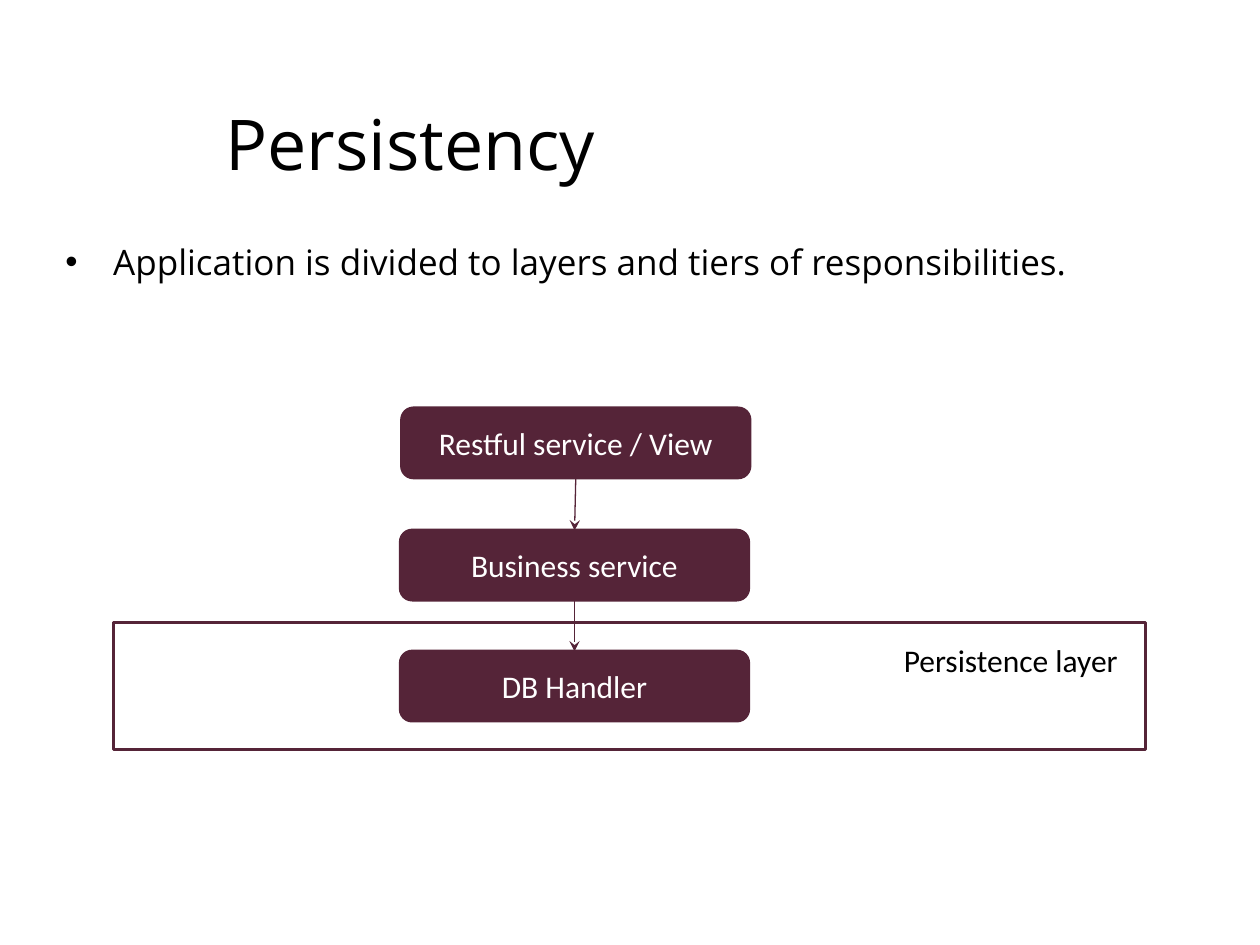
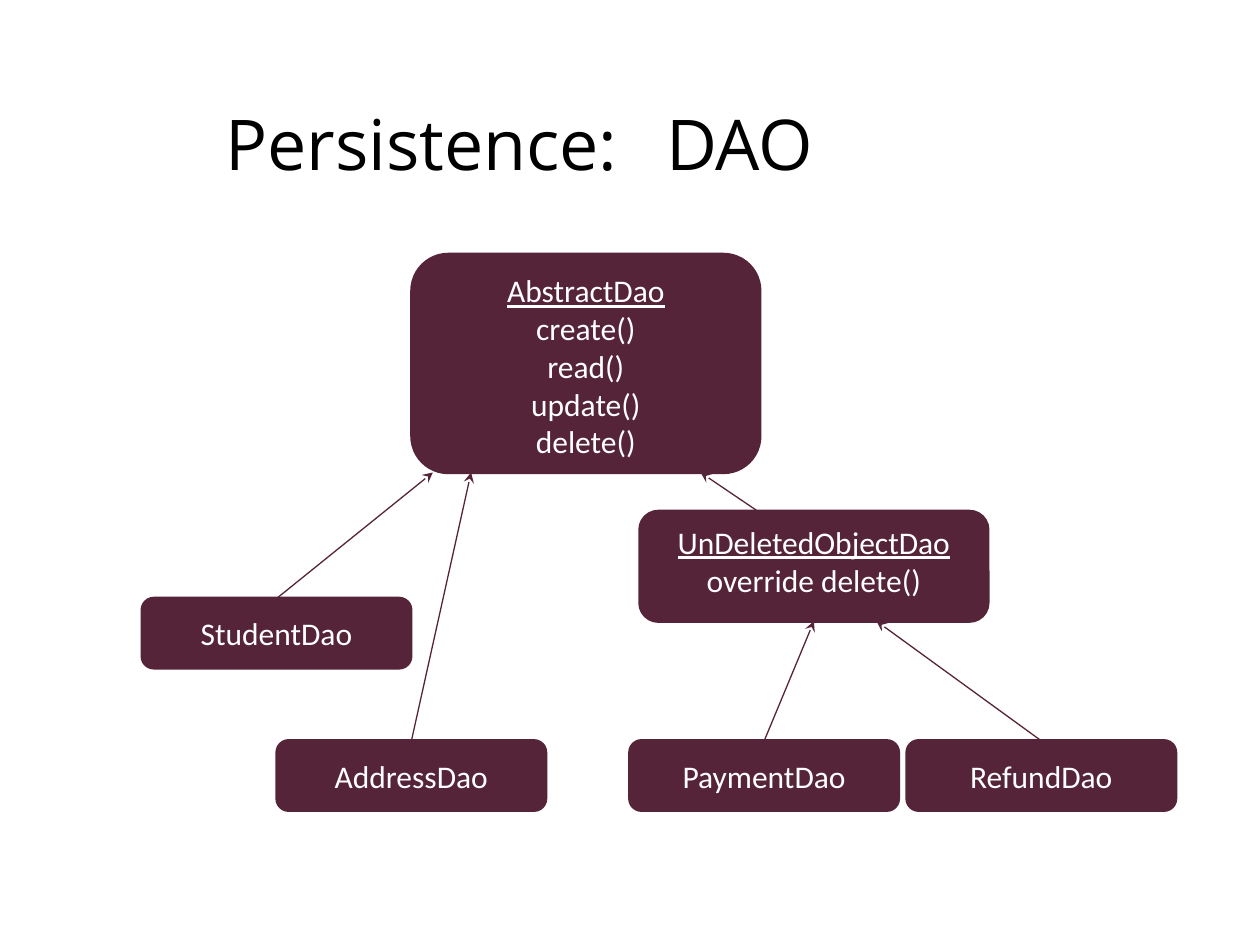
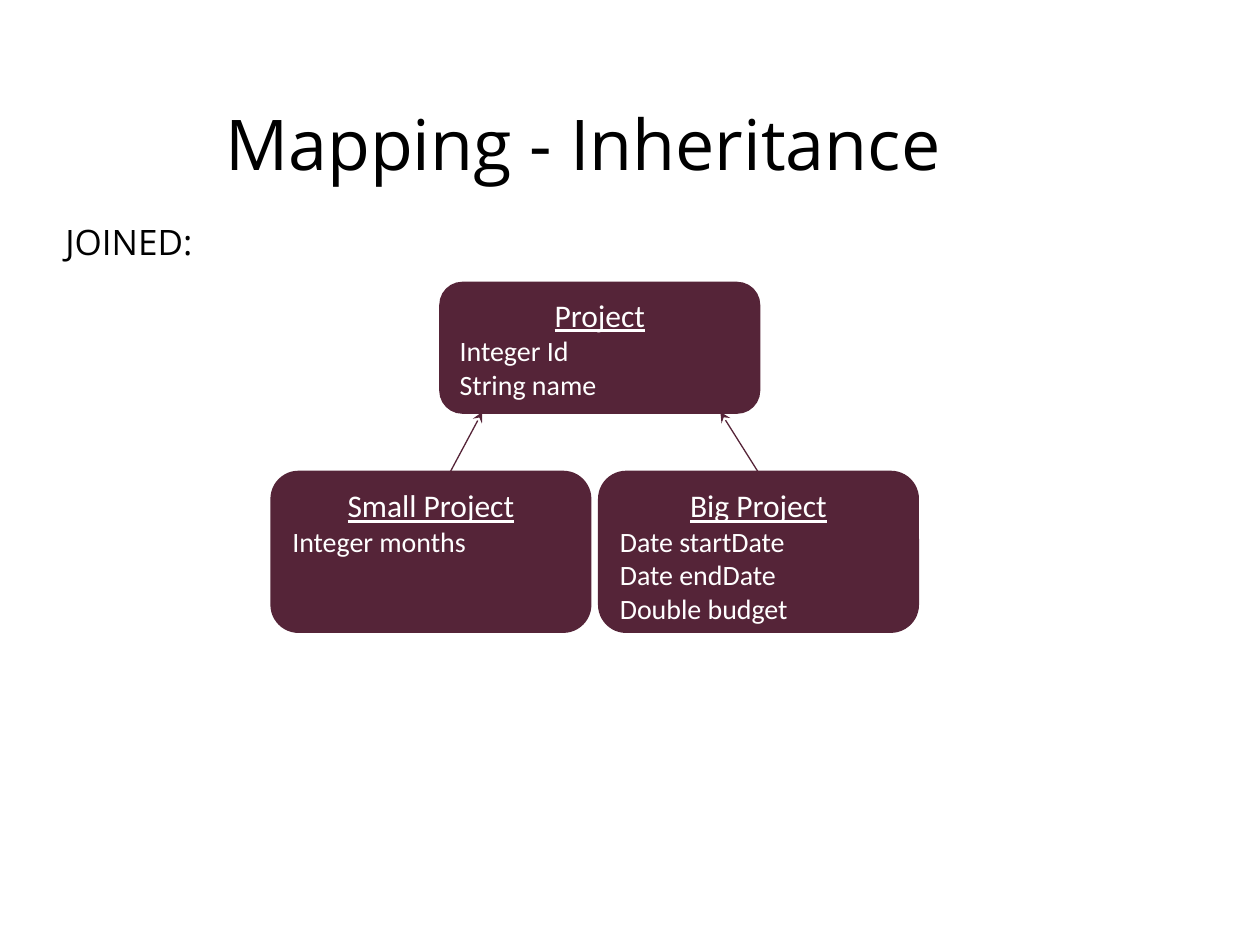
from lxml.etree import SubElement
from pptx import Presentation
from pptx.dml.color import RGBColor
from pptx.enum.shapes import MSO_CONNECTOR as Connector, MSO_SHAPE as Preset
from pptx.enum.text import MSO_ANCHOR as Anchor, PP_ALIGN as Align
from pptx.oxml.ns import qn
from pptx.util import Inches, Pt

COLORS = {"plum": "552438", "white": "FFFFFF", "black": "000000"}
TITLE_FONT, LABEL_FONT = "Open Sans", "Calibri"
TITLE_AREA = (1.69, 0.5, 8.9, 1.26)
BODY_LEFT, BODY_WIDTH, BODY_HEIGHT = 0.42, 8.9, 2.83
BULLET_INDENT = 0.38
LAYER_SIZE, CLASS_SIZE, ENTITY_SIZE = (2.76, 0.55), (2.13, 0.55), (2.52, 1.26)

SLIDES = [
    {
        "title": "Persistency",
        "body": ("Application is divided to layers and tiers of responsibilities.", 1.86, True),
        "boxes": {
            "business": (3.18, 4.21, *LAYER_SIZE, ["Business service"]),
            "handler": (3.18, 5.17, *LAYER_SIZE, ["DB Handler"]),
            "view": (3.19, 3.24, *LAYER_SIZE, ["Restful service / View"]),
        },
        "calls": [("view", "business"), ("business", "handler")],
        "frame": (0.9, 4.94, 8.19, 1.01),
        "frame_label": ("Persistence layer", (7.05, 5.04, 1.92, 0.4)),
    },
    {
        "title": "Persistence:\tDAO",
        "boxes": {
            "abstract": (3.27, 2.02, 2.76, 1.73,
                         ["AbstractDao", "create()", "read()", "update()", "delete()"]),
            "student": (1.13, 4.75, *CLASS_SIZE, ["StudentDao"]),
            "address": (2.2, 5.88, *CLASS_SIZE, ["AddressDao"]),
            "undeleted": (5.08, 4.06, 2.76, 0.87, ["UnDeletedObjectDao", "override delete()"]),
            "payment": (5, 5.88, *CLASS_SIZE, ["PaymentDao"]),
            "refund": (7.2, 5.88, *CLASS_SIZE, ["RefundDao"]),
        },
        "parents": [
            ("student", 0.5, "abstract", 0.06),
            ("address", 0.5, "abstract", 0.17),
            ("undeleted", 0.34, "abstract", 0.83),
            ("payment", 0.5, "undeleted", 0.5),
            ("refund", 0.5, "undeleted", 0.68),
        ],
    },
    {
        "title": "Mapping - Inheritance",
        "body": ("JOINED:", 1.7, False),
        "member_style": (Align.LEFT, 16),
        "boxes": {
            "project": (3.5, 2.25, 2.52, 1.02, ["Project", "Integer Id", "String name"]),
            "small": (2.16, 3.75, *ENTITY_SIZE, ["Small Project", "Integer months"]),
            "big": (4.76, 3.75, *ENTITY_SIZE,
                    ["Big Project", "Date startDate", "Date endDate", "Double budget"]),
        },
        "parents": [("big", 0.5, "project", 0.88), ("small", 0.56, "project", 0.13)],
    },
]


def color(name):
    return RGBColor.from_string(COLORS[name])


def inches(lengths):
    return [Inches(length) for length in lengths]


def style(paragraph, font_name, size, color_name, align=Align.LEFT, underline=False):
    paragraph.alignment = align
    for run in paragraph.runs:
        run.font.name = font_name
        run.font.size = Pt(size)
        run.font.color.rgb = color(color_name)
        run.font.underline = underline


def add_text(slide, text, area, font_name, size, anchor=Anchor.TOP, align=Align.LEFT):
    text_frame = slide.shapes.add_textbox(*inches(area)).text_frame
    text_frame.word_wrap = True
    text_frame.vertical_anchor = anchor
    text_frame.text = text
    paragraph = text_frame.paragraphs[0]
    style(paragraph, font_name, size, "black", align)
    return paragraph


def add_bullet(paragraph):
    properties = paragraph._p.get_or_add_pPr()
    properties.set("marL", str(Inches(BULLET_INDENT)))
    properties.set("indent", str(-Inches(BULLET_INDENT)))
    SubElement(properties, qn("a:buFont"), typeface="Arial")
    SubElement(properties, qn("a:buChar"), char="•")


def add_outlined(slide, preset, area):
    shape = slide.shapes.add_shape(preset, *inches(area))
    shape.shadow.inherit = False
    shape.line.color.rgb = color("plum")
    shape.line.width = Pt(2)
    return shape


def add_box(slide, area, lines, member_align, member_size):
    shape = add_outlined(slide, Preset.ROUNDED_RECTANGLE, area)
    shape.fill.solid()
    shape.fill.fore_color.rgb = color("plum")
    text_frame = shape.text_frame
    text_frame.word_wrap = True
    text_frame.vertical_anchor = Anchor.TOP if len(lines) > 1 else Anchor.MIDDLE
    text_frame.text = "\n".join(lines)
    heading, *members = text_frame.paragraphs
    style(heading, LABEL_FONT, 18, "white", Align.CENTER, len(lines) > 1)
    for member in members:
        style(member, LABEL_FONT, member_size, "white", member_align)


def top_point(box, share=0.5):
    left, top, width = box[:3]
    return left + width * share, top


def bottom_point(box, share=0.5):
    left, top, width, height = box[:4]
    return left + width * share, top + height


def add_arrow(slide, start, end):
    connector = slide.shapes.add_connector(Connector.STRAIGHT, *inches(start + end))
    connector.line.color.rgb = color("plum")
    connector.line.width = Pt(0.75)
    SubElement(connector.line._get_or_add_ln(), qn("a:tailEnd"), type="stealth")
    SubElement(connector._element.spPr, qn("a:effectLst"))


def build_slide(presentation, content):
    slide = presentation.slides.add_slide(presentation.slide_layouts[6])
    add_text(slide, content["title"], TITLE_AREA, TITLE_FONT, 40, Anchor.MIDDLE)
    if "body" in content:
        text, top, bulleted = content["body"]
        area = (BODY_LEFT, top, BODY_WIDTH, BODY_HEIGHT)
        paragraph = add_text(slide, text, area, TITLE_FONT, 20)
        if bulleted:
            add_bullet(paragraph)

    boxes = content["boxes"]
    member_style = content.get("member_style", (Align.CENTER, 18))
    for *area, lines in boxes.values():
        add_box(slide, area, lines, *member_style)
    for caller, callee in content.get("calls", []):
        add_arrow(slide, bottom_point(boxes[caller]), top_point(boxes[callee]))
    for child, child_share, parent, parent_share in content.get("parents", []):
        add_arrow(slide, top_point(boxes[child], child_share),
                  bottom_point(boxes[parent], parent_share))

    if "frame" in content:
        add_outlined(slide, Preset.RECTANGLE, content["frame"]).fill.background()
        label, area = content["frame_label"]
        add_text(slide, label, area, LABEL_FONT, 18, align=Align.RIGHT)


def main():
    presentation = Presentation()
    presentation.slide_width, presentation.slide_height = Inches(10), Inches(7.5)
    for content in SLIDES:
        build_slide(presentation, content)
    presentation.save("out.pptx")


if __name__ == "__main__":
    main()
